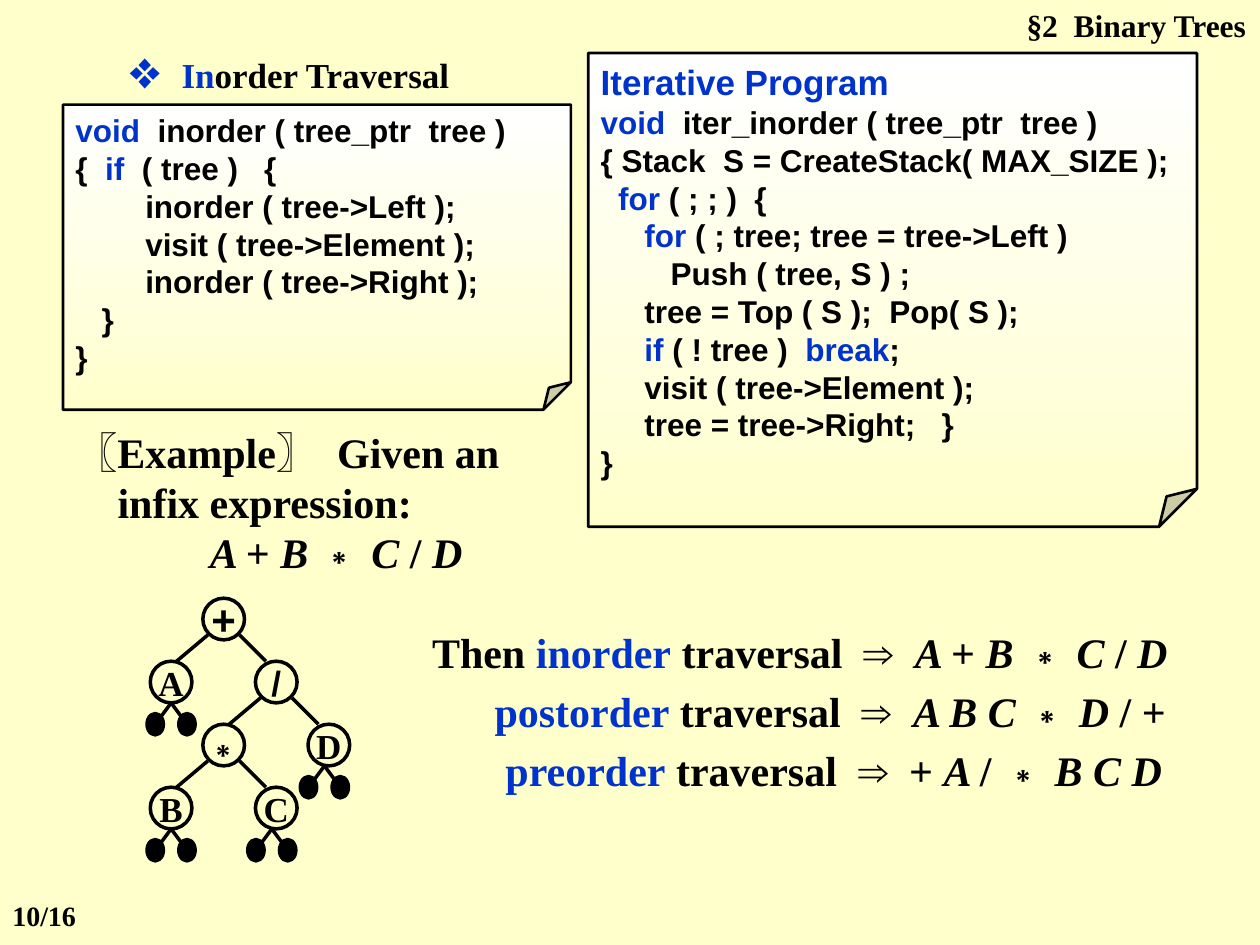
from lxml.etree import SubElement
from pptx import Presentation
from pptx.dml.color import RGBColor
from pptx.enum.shapes import MSO_CONNECTOR, MSO_SHAPE
from pptx.enum.text import MSO_ANCHOR, PP_ALIGN
from pptx.oxml.ns import qn
from pptx.util import Cm, Pt

COLORS = {"ink": "000000", "key": "0033CC", "paper": "FFFFCC", "white": "FFFFFF"}
SERIF, SANS = "Times New Roman", "Arial"

# Content: a line is a list of runs; a run is plain text or (text, style),
# where the style "k" is a keyword, "i" italic and "h" a keyword heading
SECTION = [["§2  Binary Trees"]]
HEADING = [[("In", "k"), "order Traversal"]]
PAGE = [["10/16"]]
RECURSIVE = [
    [("void", "k"), "  inorder ( tree_ptr  tree )"],
    ["{  ", ("if", "k"), "  ( tree )   {"],
    ["        inorder ( tree->Left );"],
    ["        visit ( tree->Element );"],
    ["        inorder ( tree->Right );"],
    ["   }"],
    ["}"],
]
ITERATIVE = [
    [("Iterative Program", "h")],
    [("void", "k"), "  iter_inorder ( tree_ptr  tree )"],
    ["{ Stack  S = CreateStack( MAX_SIZE );"],
    ["  ", ("for", "k"), " ( ; ; )  {"],
    ["     ", ("for", "k"), " ( ; tree; tree = tree->Left )"],
    ["        Push ( tree, S ) ;"],
    ["     tree = Top ( S );  Pop( S );"],
    ["     ", ("if", "k"), " ( ! tree )  ", ("break", "k"), ";"],
    ["     visit ( tree->Element );"],
    ["     tree = tree->Right;   }"],
    ["}"],
]
INFIX = [("A ", "i"), "+ ", ("B ", "i"), "∗ ", ("C ", "i"), "/ ", ("D", "i")]
EXAMPLE = [["〖Example〗  Given an"], ["infix expression:"], INFIX]
RESULTS = [
    ["Then ", ("inorder", "k"), " traversal  ⇒  "] + INFIX,
    [("postorder", "k"), " traversal  ⇒  ", ("A B C ", "i"), "∗", (" D ", "i"), "/ +"],
    [("preorder", "k"), " traversal  ⇒  + ", ("A ", "i"), "/ ∗", (" B C D", "i")],
]
# Tree nodes: name: (column, row, parent, font, size, leaf offset or None)
NODES = {
    "+": (1, 0, None, SANS, 24, None),
    "A": (0, 1, "+", SERIF, 20, 0.42),
    "/": (2, 1, "+", SANS, 20, None),
    "∗": (1, 2, "/", SANS, 24, None),
    "D": (3, 2, "/", SERIF, 20, 0.33),
    "B": (0, 3, "∗", SERIF, 20, 0.42),
    "C": (2, 3, "∗", SERIF, 20, 0.33),
}
TREE_LEFT, TREE_TOP, COLUMN, ROW, NODE = 3.03, 12.06, 1.06, 1.27, 0.84
LEAF_WIDTH, LEAF_HEIGHT = 0.33, 0.43


def color(name):
    return RGBColor.from_string(COLORS[name])


def write(shape, lines, font=SERIF, size=24, align=PP_ALIGN.LEFT, anchor=MSO_ANCHOR.TOP,
          wrap=True, inset=(0.25, 0.13), indents=(), before=0):
    frame = shape.text_frame
    frame.word_wrap, frame.vertical_anchor = wrap, anchor
    frame.margin_left = frame.margin_right = Cm(inset[0])
    frame.margin_top = frame.margin_bottom = Cm(inset[1])
    for index, line in enumerate(lines):
        paragraph = frame.paragraphs[0] if index == 0 else frame.add_paragraph()
        paragraph.alignment = align
        paragraph.space_before = Pt(before if index else 0)
        paragraph.line_spacing = 1.0
        if indents:
            properties = paragraph._p.get_or_add_pPr()
            properties.set("marL", str(Cm(indents[index])))
            properties.set("indent", "0")
        for item in line:
            text, style = (item, "") if isinstance(item, str) else item
            run = paragraph.add_run()
            run.text = text
            run.font.name, run.font.bold, run.font.italic = font, True, style == "i"
            run.font.size = Pt(20 if style == "h" else size)
            run.font.color.rgb = color("key" if style in ("k", "h") else "ink")


def add_text(left, top, width, height, lines, **text_format):
    box = slide.shapes.add_textbox(Cm(left), Cm(top), Cm(width), Cm(height))
    write(box, lines, **text_format)
    return box


def add_note(left, top, width, height, fold, lines):
    note = slide.shapes.add_shape(MSO_SHAPE.FOLDED_CORNER, Cm(left), Cm(top), Cm(width), Cm(height))
    guides = note._element.spPr.find(qn("a:prstGeom")).get_or_add_avLst()
    SubElement(guides, qn("a:gd"), name="adj", fmla=f"val {round(fold * 100000)}")
    note.shadow.inherit = False
    note.fill.gradient()
    note.fill.gradient_angle = 270
    for stop, name, position in zip(note.fill.gradient_stops, ("white", "paper"), (0, 1)):
        stop.color.rgb, stop.position = color(name), position
    note.line.color.rgb, note.line.width = color("ink"), Pt(1.5)
    write(note, lines, font=SANS, size=18, anchor=MSO_ANCHOR.MIDDLE)


def add_circle(left, top, width, height, filled=False):
    circle = tree.shapes.add_shape(MSO_SHAPE.OVAL, Cm(left), Cm(top), Cm(width), Cm(height))
    circle.shadow.inherit = False
    if filled:
        circle.fill.solid()
        circle.fill.fore_color.rgb = color("ink")
    else:
        circle.fill.background()
    circle.line.color.rgb, circle.line.width = color("ink"), Pt(2)
    return circle


def add_edge(*points):
    edge = tree.shapes.add_connector(MSO_CONNECTOR.STRAIGHT, *map(Cm, points))
    edge.line.color.rgb, edge.line.width = color("ink"), Pt(2)
    SubElement(edge._element.spPr, qn("a:effectLst"))


def node_corner(name):
    column, row = NODES[name][:2]
    return TREE_LEFT + column * COLUMN, TREE_TOP + row * ROW


presentation = Presentation()
presentation.slide_width, presentation.slide_height = Cm(25.4), Cm(19.05)
slide = presentation.slides.add_slide(presentation.slide_layouts[5])
slide.background.fill.solid()
slide.background.fill.fore_color.rgb = color("paper")

# Section title
title = slide.shapes.title
title.left, title.top, title.width, title.height = Cm(19.25), Cm(0), Cm(6.12), Cm(1.02)
write(title, SECTION, size=18, align=PP_ALIGN.RIGHT)

# Heading with a diamond bullet
heading = add_text(2.34, 0.94, 7.82, 1.27, HEADING, size=20, indents=(1.07,))
bullet = heading.text_frame.paragraphs[0]._p.get_or_add_pPr()
bullet.set("indent", str(-Cm(1.07)))
SubElement(SubElement(bullet, qn("a:buClr")), qn("a:srgbClr"), val=COLORS["key"])
SubElement(bullet, qn("a:buSzPct"), val="120000")
SubElement(bullet, qn("a:buFont"), typeface=SERIF)
SubElement(bullet, qn("a:buChar"), char="❖")

# Code notes
add_note(1.27, 2.11, 10.24, 6.15, 0.09, RECURSIVE)
add_note(11.86, 1.07, 12.27, 9.55, 0.08, ITERATIVE)

# Example and results
add_text(1.27, 8.46, 10.36, 3.3, EXAMPLE, indents=(0, 0.85, 2.71))
add_text(8.46, 12.5, 15.44, 3.71, RESULTS, indents=(0, 1.26, 1.48), before=4.8)

# Expression tree
tree = slide.shapes.add_group_shape()
for name, (column, row, parent, font, size, leaf_offset) in NODES.items():
    left, top = node_corner(name)
    write(add_circle(left, top, NODE, NODE), [[name]], font=font, size=size,
          align=PP_ALIGN.CENTER, anchor=MSO_ANCHOR.MIDDLE, wrap=False, inset=(0, 0))
    if parent:
        parent_left, parent_top = node_corner(parent)
        start, end = (0.1, 0.53) if column < NODES[parent][0] else (0.74, 0.21)
        add_edge(parent_left + start, parent_top + 0.74, left + end, top)
    if leaf_offset:
        apex, base = left + leaf_offset, top + NODE
        for offset in (-0.32, 0.32):
            add_edge(apex, base, apex + offset, base + LEAF_HEIGHT)
            add_circle(apex + offset - LEAF_WIDTH / 2, base + LEAF_HEIGHT / 2,
                       LEAF_WIDTH, LEAF_HEIGHT, filled=True)

# Page number
add_text(0, 17.98, 1.9, 0.94, PAGE, size=16)

presentation.save("out.pptx")
